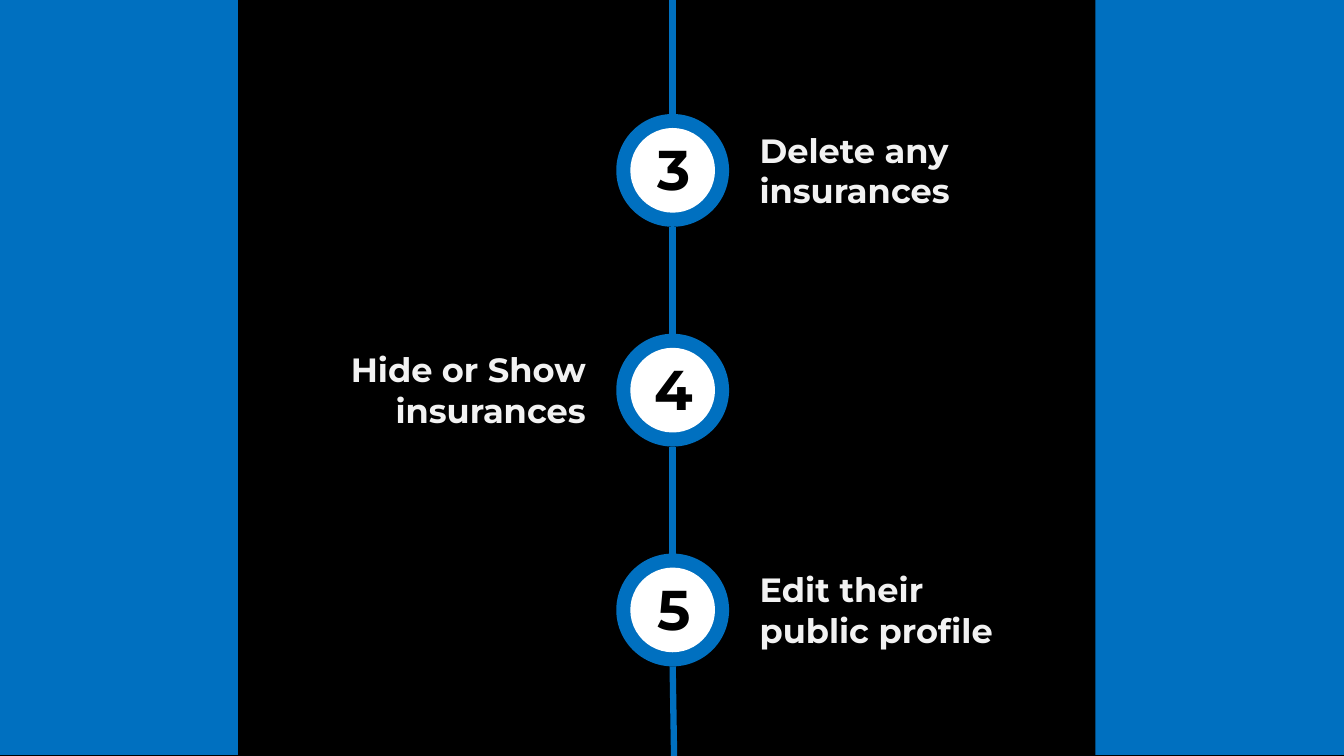
from lxml.etree import SubElement
from pptx import Presentation
from pptx.dml.color import RGBColor
from pptx.enum.shapes import MSO_CONNECTOR, MSO_SHAPE
from pptx.enum.text import MSO_AUTO_SIZE, PP_ALIGN
from pptx.oxml.ns import qn
from pptx.util import Pt

BLACK = RGBColor(0x00, 0x00, 0x00)
BLUE = RGBColor(0x00, 0x70, 0xC0)
WHITE = RGBColor(0xFF, 0xFF, 0xFF)
PALE = RGBColor(0xF2, 0xF2, 0xF2)

PAGE_WIDTH, PAGE_HEIGHT = 960, 540
AXIS = 480.5          # x of the timeline
FIRST_CENTER = 121.7  # y of the first step
STEP_GAP = 157
RING, DISC = 80.6, 60.5
LABEL_GAP = 55        # from the axis to a label box

# number, label, label width, alignment
STEPS = [
    ("3", "Delete any insurances", 261, PP_ALIGN.LEFT),
    ("4", "Hide or Show insurances", 260, PP_ALIGN.RIGHT),
    ("5", "Edit their public profile", 212, PP_ALIGN.LEFT),
]


def add_filled(page, kind, left, top, width, height, color):
    shape = page.shapes.add_shape(kind, Pt(left), Pt(top), Pt(width), Pt(height))
    shape.shadow.inherit = False
    shape.fill.solid()
    shape.fill.fore_color.rgb = color
    shape.line.fill.background()


def add_circle(page, center, size, color):
    add_filled(page, MSO_SHAPE.OVAL, AXIS - size / 2, center - size / 2,
               size, size, color)


def add_line(page, top, bottom, end_x=AXIS):
    line = page.shapes.add_connector(
        MSO_CONNECTOR.STRAIGHT, Pt(AXIS), Pt(top), Pt(end_x), Pt(bottom))
    line.line.color.rgb = BLUE
    line.line.width = Pt(4.5)
    SubElement(line._element.spPr, qn("a:effectLst"))


def add_text(page, text, left, top, width, height, size, color, align):
    box = page.shapes.add_textbox(Pt(left), Pt(top), Pt(width), Pt(height))
    box.text_frame.word_wrap = True
    box.text_frame.auto_size = MSO_AUTO_SIZE.SHAPE_TO_FIT_TEXT
    para = box.text_frame.paragraphs[0]
    para.alignment = align
    span = para.add_run()
    span.text = text
    for name, value in {"name": "Montserrat", "size": Pt(size), "bold": True}.items():
        setattr(span.font, name, value)
    span.font.color.rgb = color


def add_step(page, center, number, label, width, align):
    add_circle(page, center, RING, BLUE)
    add_circle(page, center, DISC, WHITE)
    add_text(page, number, AXIS - 21.3, center - 29, 44.6, 55.4,
             40, BLACK, PP_ALIGN.CENTER)
    if align == PP_ALIGN.RIGHT:
        left = AXIS - LABEL_GAP - width
    else:
        left = AXIS + LABEL_GAP
    add_text(page, label, left, center - 32.7, width, 65.4, 24, PALE, align)


def main():
    deck = Presentation()
    deck.slide_width, deck.slide_height = Pt(PAGE_WIDTH), Pt(PAGE_HEIGHT)
    page = deck.slides.add_slide(deck.slide_layouts[6])
    page.background.fill.solid()
    page.background.fill.fore_color.rgb = BLACK

    # Steps, each with the line that leads to it
    line_top = 0
    for index, step in enumerate(STEPS):
        center = FIRST_CENTER + index * STEP_GAP
        add_line(page, line_top, center - RING / 2)
        add_step(page, center, *step)
        line_top = center + RING / 2

    # Last line, running slightly aslant off the page
    add_line(page, line_top, PAGE_HEIGHT, AXIS + 1)

    # Side panels
    for left, width in ((0, 170), (782.5, 177.5)):
        add_filled(page, MSO_SHAPE.RECTANGLE, left, 0, width, 539.3, BLUE)

    deck.save("out.pptx")


if __name__ == "__main__":
    main()
